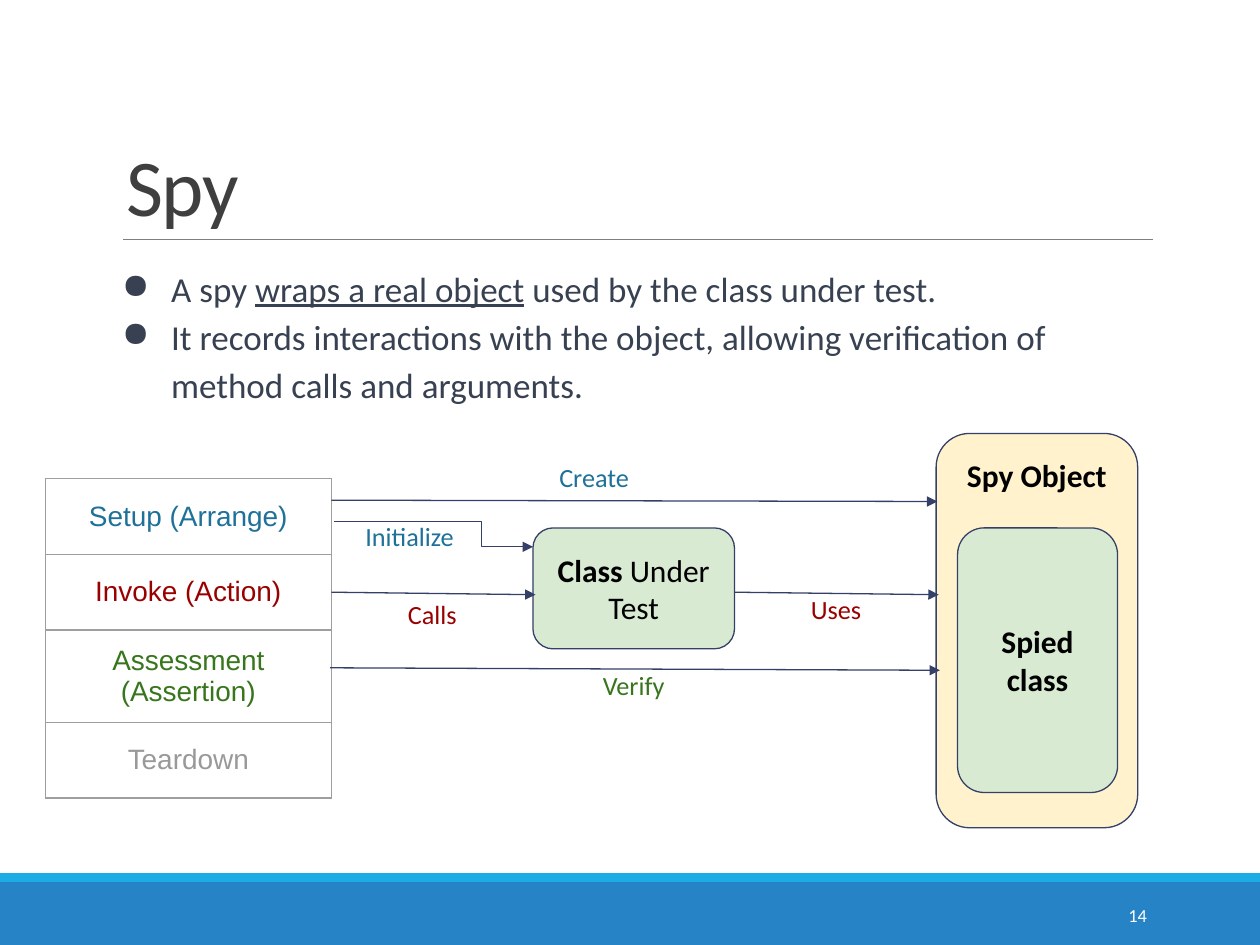
"""Build the slide that explains the spy test double."""
from lxml import etree
from pptx import Presentation
from pptx.dml.color import RGBColor
from pptx.enum.shapes import MSO_CONNECTOR, MSO_SHAPE
from pptx.enum.text import MSO_ANCHOR, PP_ALIGN
from pptx.oxml.ns import qn
from pptx.util import Inches, Pt

RECT, ROUND = MSO_SHAPE.RECTANGLE, MSO_SHAPE.ROUNDED_RECTANGLE
STRAIGHT, ELBOW = MSO_CONNECTOR.STRAIGHT, MSO_CONNECTOR.ELBOW
LEFT, CENTER, RIGHT = PP_ALIGN.LEFT, PP_ALIGN.CENTER, PP_ALIGN.RIGHT
TOP, MIDDLE, BOTTOM = MSO_ANCHOR.TOP, MSO_ANCHOR.MIDDLE, MSO_ANCHOR.BOTTOM

THEME = {
    "font": "Calibri", "table_font": "Arial",
    "title_size": 46, "body_size": 20, "box_size": 18,
    "cell_size": 16, "label_size": 15, "number_size": 10.5,
    "title": "3F3F3F", "body": "374151", "black": "000000", "white": "FFFFFF",
    "bar": "2683C6", "strip": "1CADE4", "rule": "7F7F7F",
    "outline": "344068", "border": "9E9E9E",
    "green": "D9EAD3", "yellow": "FFF2CC",
    "setup": "1F7199", "invoke": "990000", "assess": "38761D", "teardown": "999999",
}


def rgb(name):
    return RGBColor.from_string(THEME[name])


def write(p, runs, size, color, align=LEFT, font="font"):
    p.alignment = align
    for text, style in runs:
        r = p.add_run()
        r.text = text
        r.font.name = THEME[font]
        r.font.size = Pt(THEME[size])
        r.font.color.rgb = rgb(color)
        r.font.bold = style == "bold"
        r.font.underline = style == "underline"
    return p


prs = Presentation()
prs.slide_width, prs.slide_height = Inches(10), Inches(7.5)
s = prs.slides.add_slide(prs.slide_layouts[5])

for top, height, fill in [(7, 0.5, "bar"), (6.93, 0.07, "strip")]:
    sp = s.shapes.add_shape(RECT, 0, Inches(top), Inches(10), Inches(height))
    sp.shadow.inherit = False
    sp.fill.solid()
    sp.fill.fore_color.rgb = rgb(fill)
    sp.line.fill.background()

title = s.shapes.title
title.left, title.top = Inches(0.9), Inches(0.31)
title.width, title.height = Inches(9.1), Inches(1.59)
title.text_frame.vertical_anchor = BOTTOM
p = write(title.text_frame.paragraphs[0], [("Spy", "")], "title_size", "title")
p.line_spacing = 0.85
p.runs[0].font._element.set("spc", "-50")

body = s.shapes.add_textbox(Inches(0.76), Inches(1.97), Inches(8.21), Inches(1.31))
tf = body.text_frame
tf.word_wrap = True
tf.margin_top = tf.margin_bottom = Inches(0.1)
bullets = [
    [("A spy ", ""), ("wraps a real object", "underline"),
     (" used by the class under test.", "")],
    [("It records interactions with the object, allowing verification of "
      "method calls and arguments.", "")],
]
for i, runs in enumerate(bullets):
    p = tf.add_paragraph() if i else tf.paragraphs[0]
    write(p, runs, "body_size", "body")
    p.line_spacing = 1.15
    pPr = p._p.get_or_add_pPr()
    pPr.set("marL", str(Inches(0.5)))
    pPr.set("indent", str(Inches(-0.39)))
    etree.SubElement(pPr, qn("a:buChar")).set("char", "●")

phases = [
    ("Setup (Arrange)", "setup"),
    ("Invoke (Action)", "invoke"),
    ("Assessment (Assertion)", "assess"),
    ("Teardown", "teardown"),
]
table = s.shapes.add_table(len(phases), 1, Inches(0.36), Inches(3.8),
                           Inches(2.27), Inches(2.4)).table
table.first_row = table.horz_banding = False
for i, (text, color) in enumerate(phases):
    table.rows[i].height = Inches(0.6)
    cell = table.cell(i, 0)
    cell.vertical_anchor = MIDDLE
    cell.margin_left = cell.margin_right = Inches(0.1)
    cell.margin_top = cell.margin_bottom = Inches(0.1)
    write(cell.text_frame.paragraphs[0], [(text, "")], "cell_size", color,
          CENTER, "table_font")
    tcPr = cell._tc.get_or_add_tcPr()
    for side in ("a:lnL", "a:lnR", "a:lnT", "a:lnB"):
        ln = etree.SubElement(tcPr, qn(side), w=str(Pt(0.75)))
        fill = etree.SubElement(ln, qn("a:solidFill"))
        etree.SubElement(fill, qn("a:srgbClr"), val=THEME["border"])
    cell.fill.background()

boxes = [
    (4.23, 4.19, 1.6, 0.96, "green", MIDDLE, [("Class", "bold"), (" Under Test", "")]),
    (7.43, 3.44, 1.6, 3.13, "yellow", TOP, [("Spy Object", "bold")]),
    (7.6, 4.19, 1.27, 2.1, "green", MIDDLE, [("Spied class", "bold")]),
]
for left, top, width, height, fill, anchor, runs in boxes:
    sp = s.shapes.add_shape(ROUND, Inches(left), Inches(top), Inches(width), Inches(height))
    sp.shadow.inherit = False
    sp.fill.solid()
    sp.fill.fore_color.rgb = rgb(fill)
    sp.line.color.rgb = rgb("outline")
    sp.line.width = Pt(0.75)
    tf = sp.text_frame
    tf.word_wrap = True
    tf.vertical_anchor = anchor
    tf.margin_top = tf.margin_bottom = Inches(0.1)
    write(tf.paragraphs[0], runs, "box_size", "black", CENTER)

lines = [
    (STRAIGHT, 0.98, 1.9, 9.15, 1.9, "rule"),
    (STRAIGHT, 2.63, 3.97, 7.44, 3.98, "outline"),
    (ELBOW, 2.65, 4.14, 4.23, 4.34, "outline"),
    (STRAIGHT, 2.63, 4.7, 4.25, 4.72, "outline"),
    (STRAIGHT, 2.62, 5.3, 7.46, 5.32, "outline"),
    (STRAIGHT, 5.83, 4.7, 7.45, 4.72, "outline"),
]
for kind, x1, y1, x2, y2, color in lines:
    line = s.shapes.add_connector(kind, Inches(x1), Inches(y1), Inches(x2), Inches(y2))
    line.line.color.rgb = rgb(color)
    line.line.width = Pt(0.75)
    spPr = line._element.spPr
    if color == "outline":
        etree.SubElement(spPr.find(qn("a:ln")), qn("a:tailEnd"), type="triangle")
    if kind == ELBOW:
        avLst = spPr.find(qn("a:prstGeom")).find(qn("a:avLst"))
        etree.SubElement(avLst, qn("a:gd"), name="adj1", fmla="val 74100")
    etree.SubElement(spPr, qn("a:effectLst"))

labels = [
    ("Create", 4.34, 3.56, 0.92, "setup", LEFT, TOP, "label_size"),
    ("Initialize", 2.79, 4.03, 0.92, "setup", CENTER, TOP, "label_size"),
    ("Calls", 2.97, 4.65, 0.92, "invoke", CENTER, TOP, "label_size"),
    ("Verify", 3.97, 5.21, 2.12, "assess", CENTER, TOP, "label_size"),
    ("Uses", 5.77, 4.61, 1.73, "invoke", CENTER, TOP, "label_size"),
    ("14", 8.12, 7.06, 1.08, "white", RIGHT, MIDDLE, "number_size"),
]
for text, left, top, width, color, align, anchor, size in labels:
    sp = s.shapes.add_textbox(Inches(left), Inches(top), Inches(width), Inches(0.4))
    tf = sp.text_frame
    tf.word_wrap = True
    tf.vertical_anchor = anchor
    tf.margin_top = tf.margin_bottom = Inches(0.1 if anchor == TOP else 0.05)
    write(tf.paragraphs[0], [(text, "")], size, color, align)

prs.save("out.pptx")
